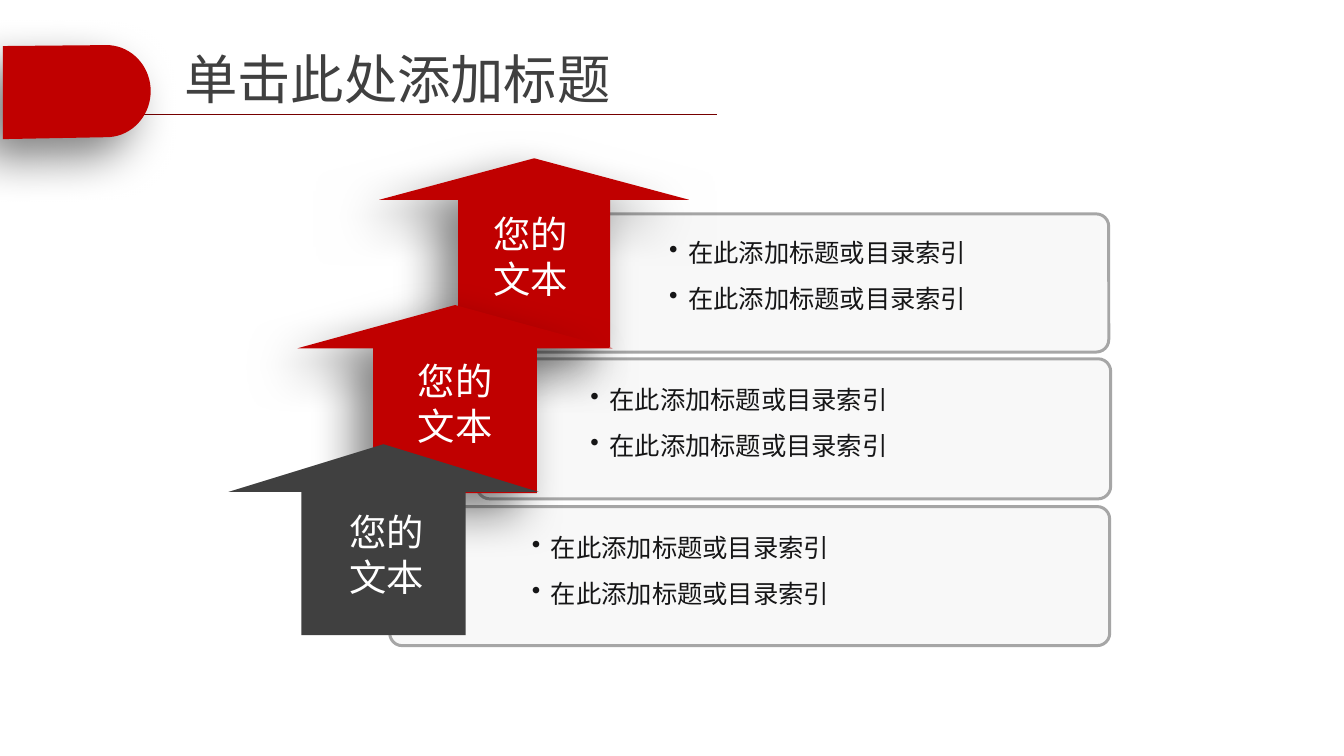
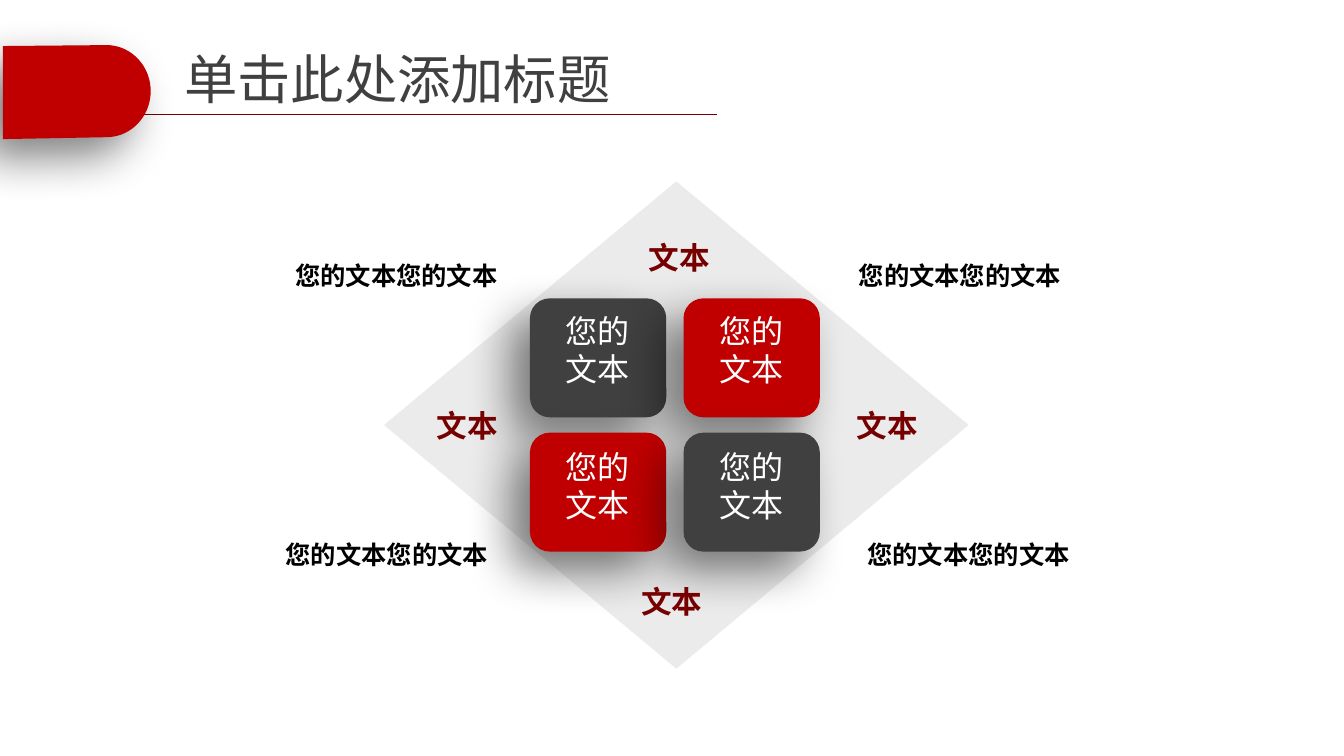
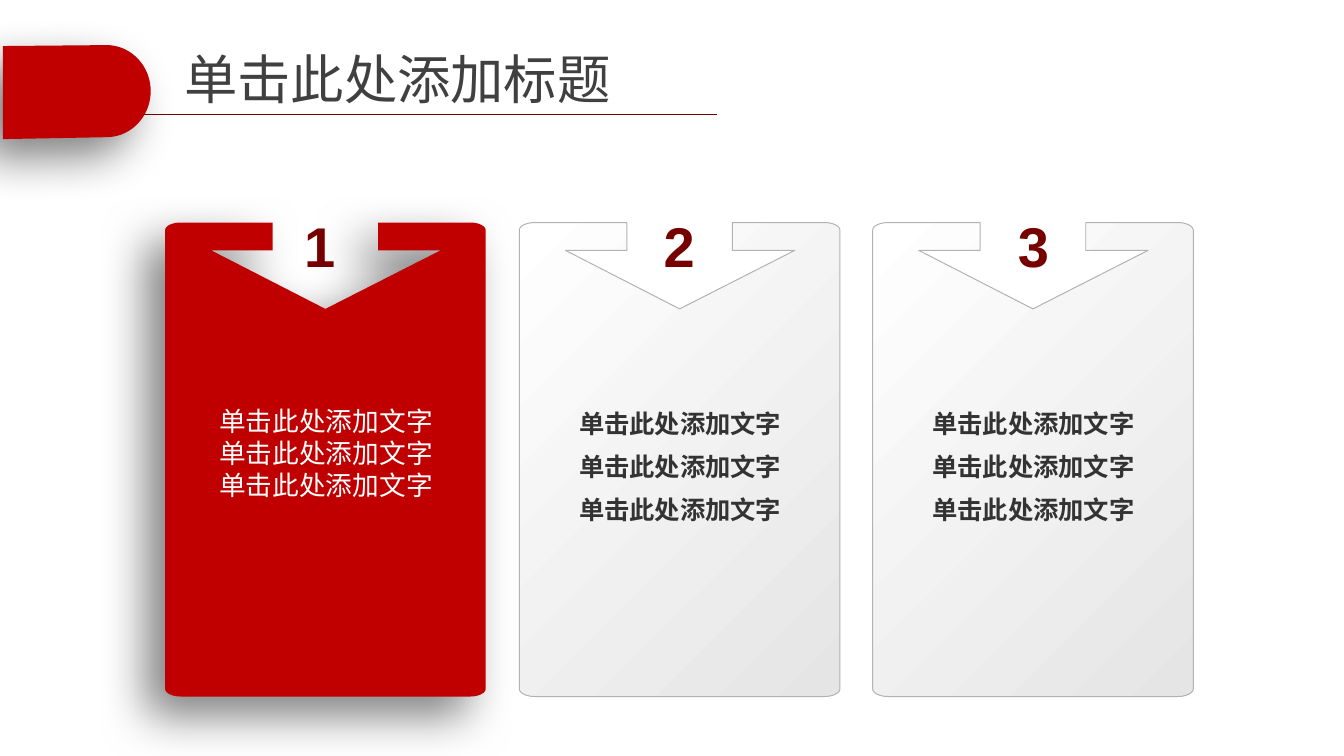
"""Builds three diagram slides: stacked arrows, a four-part matrix and numbered cards."""
import math

import lxml.etree
import pptx
import pptx.dml.color
import pptx.enum.shapes
import pptx.enum.text
import pptx.oxml.ns
import pptx.util

Inches = pptx.util.Inches
Pt = pptx.util.Pt
RGB = pptx.dml.color.RGBColor.from_string
SHAPE = pptx.enum.shapes.MSO_SHAPE
ALIGN = pptx.enum.text.PP_ALIGN
ANCHOR = pptx.enum.text.MSO_ANCHOR
qn = pptx.oxml.ns.qn
SubElement = lxml.etree.SubElement

COLORS = {
    "red": "C00000", "dark": "404040", "maroon": "760000", "white": "FFFFFF",
    "black": "000000", "panel": "F8F8F8", "panel_line": "A6A6A6", "diamond": "BFBFBF",
    "ink": "161617", "card_text": "333333", "card_end": "E5E5E5", "card_line": "B2B2B2",
}
CJK = "Noto Sans CJK SC"
TITLE = "单击此处添加标题"
LABEL = "您的文本"


def style(sp, fill, line=None, width=0.75, shadow=False):
    sp.shadow.inherit = False
    if fill:
        sp.fill.solid()
        sp.fill.fore_color.rgb = RGB(COLORS[fill])
    if line:
        sp.line.color.rgb = RGB(COLORS[line])
        sp.line.width = Pt(width)
    else:
        sp.line.fill.background()
    if shadow:
        effects = sp.element.spPr.find(qn("a:effectLst"))
        outer = SubElement(effects, qn("a:outerShdw"), blurRad=str(Pt(35)), dist=str(Pt(20)),
                           dir="8100000", algn="tr", rotWithShape="0")
        color = SubElement(outer, qn("a:srgbClr"), val=COLORS["black"])
        SubElement(color, qn("a:alpha"), val="50000")


def write(sp, lines, size, color, bold=False, font=CJK, align=ALIGN.CENTER,
          anchor=ANCHOR.TOP, inset=(0.1, 0.05), gap=0, wrap=True):
    tf = sp.text_frame
    tf.word_wrap = wrap
    tf.auto_size = pptx.enum.text.MSO_AUTO_SIZE.NONE
    tf.vertical_anchor = anchor
    tf.margin_left = tf.margin_right = Inches(inset[0])
    tf.margin_top = tf.margin_bottom = Inches(inset[1])
    for i, line in enumerate(lines):
        p = tf.add_paragraph() if i else tf.paragraphs[0]
        p.alignment = align
        if i and gap:
            p.space_before = Pt(gap)
        r = p.add_run()
        r.text = line
        r.font.size = Pt(size)
        r.font.bold = bold
        r.font.color.rgb = RGB(COLORS[color])
        r.font.name = font
        SubElement(r.font._element, qn("a:ea"), typeface=CJK)


prs = pptx.Presentation()
prs.slide_width = Inches(14)
prs.slide_height = Inches(7.88)
layout = prs.slide_layouts[5]
for ph in list(layout.placeholders)[1:]:
    ph.element.getparent().remove(ph.element)

slides = [prs.slides.add_slide(layout) for _ in range(3)]
for s in slides:
    sp = s.shapes.title
    sp.left, sp.top, sp.width, sp.height = map(Inches, (1.8, 0.32, 9.47, 0.99))
    write(sp, [TITLE], 40, "dark", font="Arial", align=ALIGN.LEFT,
          anchor=ANCHOR.MIDDLE, inset=(0.12, 0.06))

# The rule and tab live on the layout, so every slide shows them.
s = slides[0]
rule = s.shapes.add_connector(pptx.enum.shapes.MSO_CONNECTOR.STRAIGHT,
                              Inches(0.92), Inches(1.19), Inches(7.47), Inches(1.19))
rule.line.color.rgb = RGB(COLORS["maroon"])
rule.line.width = Pt(0.75)
SubElement(rule.element.spPr, qn("a:effectLst"))
arc = [(1.11 + 0.46 * math.cos(math.radians(a)), 0.95 + 0.48 * math.sin(math.radians(a)))
       for a in range(-90, 91, 5)]
builder = s.shapes.build_freeform(Inches(0.03), Inches(0.48), scale=1.0)
builder.add_line_segments([(Inches(x), Inches(y)) for x, y in arc + [(0.03, 1.45)]])
tab = builder.convert_to_shape()
style(tab, "red", shadow=True)
for sp in (rule, tab):
    layout.shapes.element.append(sp.element)

for box in ((4.95, 2.23, 6.6, 1.44), (4.97, 3.74, 6.6, 1.46), (4.06, 5.28, 7.5, 1.45)):
    sp = s.shapes.add_shape(SHAPE.ROUNDED_RECTANGLE, *map(Inches, box))
    sp.adjustments[0] = 0.09
    style(sp, "panel", "panel_line", 2.25)

for box in ((6.86, 2.38, 4.28, 0.99), (6.04, 3.91, 4.74, 0.99), (5.43, 5.46, 4.74, 0.99)):
    sp = s.shapes.add_textbox(*map(Inches, box))
    write(sp, ["在此添加标题或目录索引"] * 2, 19, "ink", align=ALIGN.LEFT,
          inset=(0.11, 0.06), gap=9.5)
    for p in sp.text_frame.paragraphs:
        p.line_spacing = 1.1
        pPr = p._p.get_or_add_pPr()
        pPr.set("marL", str(Inches(0.2)))
        pPr.set("indent", str(-Inches(0.2)))
        SubElement(pPr, qn("a:buChar"), char="•")

arrows = [
    ((3.95, 1.65, 3.23, 1.97), (0.49, 0.22), "red", (5.02, 2.14)),
    ((3.1, 3.18, 3.28, 1.96), (0.52, 0.23), "red", (4.23, 3.68)),
    ((2.38, 4.63, 3.23, 1.99), (0.53, 0.25), "dark", (3.52, 5.25)),
]
for box, (shaft, head), color, label_at in arrows:
    group = s.shapes.add_group_shape()
    sp = group.shapes.add_shape(SHAPE.UP_ARROW, *map(Inches, box))
    sp.adjustments[0] = shaft
    sp.adjustments[1] = head
    style(sp, color, shadow=color == "red")
    sp = group.shapes.add_textbox(*map(Inches, (*label_at, 1.02, 1.05)))
    write(sp, [LABEL], 28, "white", anchor=ANCHOR.MIDDLE)

s = slides[1]
sp = s.shapes.add_shape(SHAPE.DIAMOND, *map(Inches, (4, 1.89, 6.09, 5.08)))
style(sp, "diamond")
SubElement(sp.element.spPr.find(".//" + qn("a:srgbClr")), qn("a:alpha"), val="30000")

for row, (top, label_top) in enumerate(((3.11, 3.19), (4.51, 4.61))):
    for col, left in enumerate((5.52, 7.12)):
        group = s.shapes.add_group_shape()
        sp = group.shapes.add_shape(SHAPE.ROUNDED_RECTANGLE,
                                    *map(Inches, (left, top, 1.42, 1.24)))
        style(sp, "dark" if row == col else "red", shadow=True)
        sp = group.shapes.add_textbox(*map(Inches, (left + 0.13, label_top, 1.15, 0.91)))
        write(sp, [LABEL], 24, "white", anchor=ANCHOR.MIDDLE)

for left, top, width in ((6.32, 2.44, 1.52), (6.24, 6.03, 1.52),
                         (8.7, 4.19, 1.09), (4.26, 4.19, 1.22)):
    sp = s.shapes.add_textbox(*map(Inches, (left, top, width, 0.48)))
    write(sp, ["文本"], 23, "maroon", bold=True)

for left, top in ((2.45, 2.66), (8.32, 2.66), (2.35, 5.57), (8.41, 5.57)):
    sp = s.shapes.add_textbox(*map(Inches, (left, top, 3.36, 0.42)))
    write(sp, [LABEL * 2], 19, "black", bold=True)

s = slides[2]
card_w, card_top, card_bottom = 3.34, 2.32, 7.26
corner_w, corner_h = 0.16, 0.08
notch = [(1.12, 2.32), (1.12, 2.61), (0.48, 2.61), (1.67, 3.22),
         (2.87, 2.61), (2.22, 2.61), (2.22, 2.32)]
corners = [(card_w - corner_w, card_top + corner_h, -90),
           (card_w - corner_w, card_bottom - corner_h, 0),
           (corner_w, card_bottom - corner_h, 90),
           (corner_w, card_top + corner_h, 180)]
outline = notch + [(x + corner_w * math.cos(math.radians(start + a)),
                    y + corner_h * math.sin(math.radians(start + a)))
                   for x, y, start in corners for a in range(0, 91, 15)]
cards = [(1.72, 3.18, 0.3), (5.41, 6.86, 0.43), (9.09, 10.55, 0.43)]
for i, (left, number_left, number_w) in enumerate(cards):
    points = [(Inches(left + x), Inches(y)) for x, y in outline]
    builder = s.shapes.build_freeform(*points[0], scale=1.0)
    builder.add_line_segments(points[1:])
    sp = builder.convert_to_shape()
    if i == 0:
        style(sp, "red", shadow=True)
    else:
        style(sp, None, "card_line")
        sp.fill.gradient()
        sp.fill.gradient_angle = 315
        for stop, color in zip(sp.fill.gradient_stops, ("white", "card_end")):
            stop.color.rgb = RGB(COLORS[color])

    sp = s.shapes.add_textbox(*map(Inches, (number_left, 2.14, number_w, 0.6)))
    write(sp, [str(i + 1)], 42, "maroon", bold=True, font="Arial",
          inset=(0.12, 0.06), wrap=False)

    top, height = (4.16, 1.41) if i else (3.7, 2.05)
    sp = s.shapes.add_textbox(*map(Inches, (left + 0.25, top, 2.85, height)))
    write(sp, ["单击此处添加文字"] * 3, 19 if i else 20, "card_text" if i else "white",
          bold=i > 0, anchor=ANCHOR.MIDDLE, gap=9.5 if i else 0)

prs.save("out.pptx")
